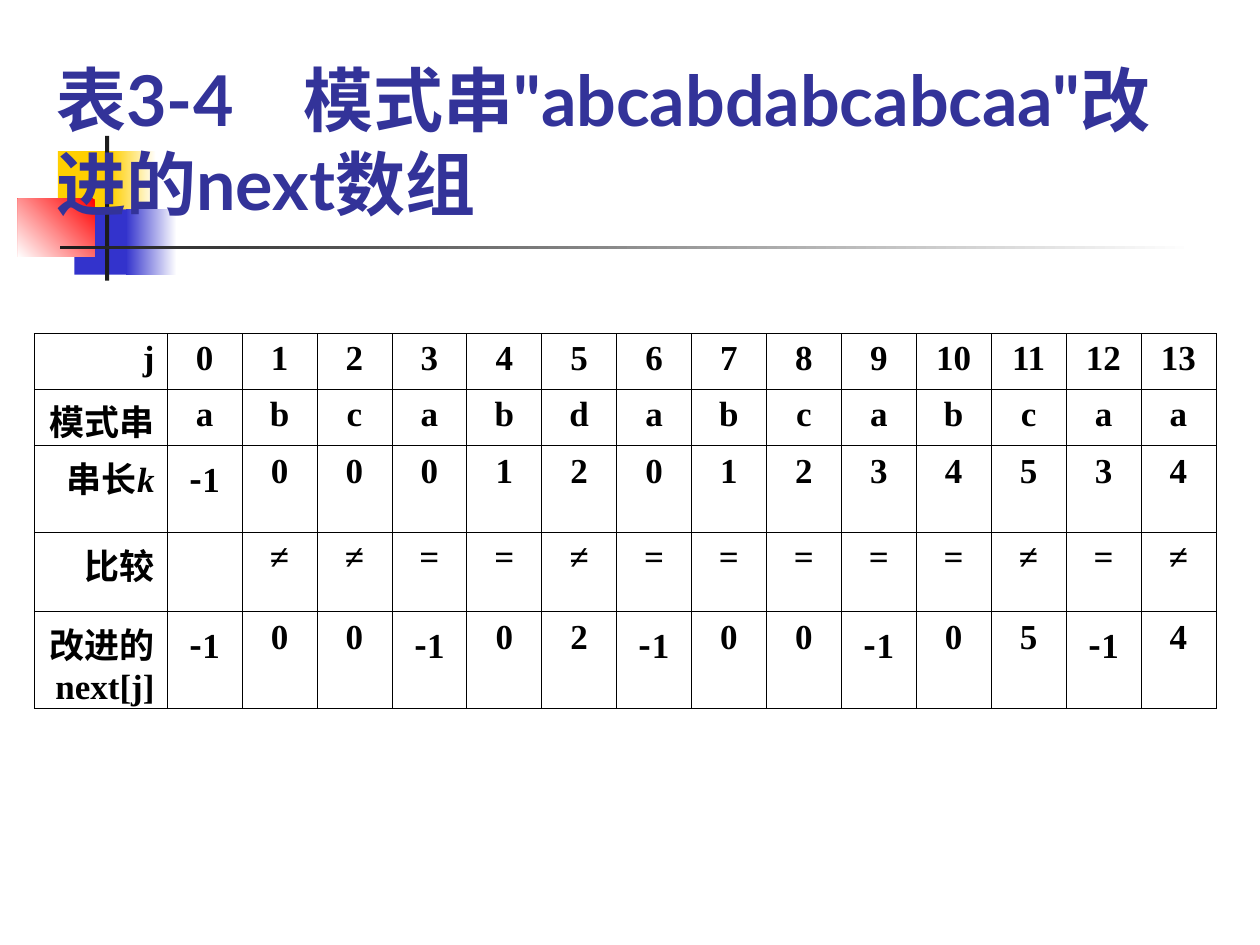
"""Build a slide with the improved next array of a pattern string."""
from lxml.etree import SubElement
from pptx import Presentation
from pptx.dml.color import RGBColor
from pptx.enum.shapes import MSO_SHAPE
from pptx.enum.text import MSO_ANCHOR, PP_ALIGN
from pptx.oxml import parse_xml
from pptx.oxml.ns import nsdecls, qn
from pptx.util import Cm, Pt

WHITE = RGBColor(0xFF, 0xFF, 0xFF)
BLACK = RGBColor(0, 0, 0)
YELLOW = RGBColor(0xFF, 0xCF, 0x01)
BLUE = RGBColor(0x33, 0x33, 0xCC)
RED = RGBColor(0xFF, 0, 0)
DARK = RGBColor(0x1C, 0x1C, 0x1C)
TITLE_BLUE = RGBColor(0x33, 0x33, 0x99)
SERIF, SANS, CJK = "Times New Roman", "Lato", "Noto Sans CJK SC"

TITLE = '表3-4　模式串"abcabdabcabcaa"改进的next数组'
ROWS = [
    ("j", "0 1 2 3 4 5 6 7 8 9 10 11 12 13".split()),
    ("模式串", list("abcabdabcabcaa")),
    ("串长k", "-1 0 0 0 1 2 0 1 2 3 4 5 3 4".split()),
    ("比较", ["", *"≠≠==≠=====≠=≠"]),
    ("改进的next[j]", "-1 0 0 -1 0 2 -1 0 0 -1 0 5 -1 4".split()),
]
ROW_HEIGHTS = [1.12, 1.14, 1.75, 1.6, 1.96]
LABEL_WIDTH, VALUE_WIDTH = 2.68, 1.51
DECORATION = [
    ((1.17, 3.05, 1.22, 1.32), [YELLOW], 0),
    ((2.24, 3.05, 0.91, 1.32), [WHITE, YELLOW], 180),
    ((1.5, 4.22, 1.17, 1.32), [BLUE], 0),
    ((2.54, 4.22, 1.02, 1.32), [WHITE, BLUE], 180),
    ((0.36, 4.01, 1.55, 1.17), [RED, WHITE], 225),
    ((2.12, 2.74, 0.08, 2.92), [DARK], 0),
    ((1.22, 4.95, 22.86, 0.08), [WHITE, DARK], 180),
]


def add_text(p, text, size=20, font=SERIF, east=CJK, color=BLACK, italic=False):
    r = p.add_run()
    r.text = text
    f = r.font
    f.size, f.name, f.bold, f.italic = Pt(size), font, True, italic
    f.color.rgb = color
    SubElement(r._r.get_or_add_rPr(), qn("a:ea")).set("typeface", east)


def add_block(s, box, colors, angle):
    sp = s.shapes.add_shape(MSO_SHAPE.RECTANGLE, *map(Cm, box))
    sp.shadow.inherit = False
    sp.line.fill.background()
    if len(colors) == 1:
        sp.fill.solid()
        sp.fill.fore_color.rgb = colors[0]
        return
    sp.fill.gradient()
    sp.fill.gradient_angle = angle
    for stop, color in zip(sp.fill.gradient_stops, colors):
        stop.color.rgb = color


def add_title(s):
    sp = s.shapes.add_textbox(Cm(0.89), Cm(0.71), Cm(23.95), Cm(3.94))
    tf = sp.text_frame
    tf.word_wrap = True
    tf.vertical_anchor = MSO_ANCHOR.BOTTOM
    add_text(tf.paragraphs[0], TITLE, size=40, font=SANS, east=SANS, color=TITLE_BLUE)


def style_cell(cell):
    cell.fill.background()
    for i, side in enumerate("LRTB"):
        border = parse_xml(
            f'<a:ln{side} {nsdecls("a")} w="{Pt(0.45)}"><a:solidFill>'
            f'<a:srgbClr val="{BLACK}"/></a:solidFill></a:ln{side}>'
        )
        cell._tc.get_or_add_tcPr().insert(i, border)


def fill_cell(cell, text, align):
    style_cell(cell)
    p = cell.text_frame.paragraphs[0]
    p.alignment = align
    if text.startswith("-"):
        add_text(p, "-", font=CJK)
        add_text(p, text[1:])
    elif text.endswith("k"):
        add_text(p, text[:-1])
        add_text(p, "k", italic=True)
    elif text:
        add_text(p, text)


def add_values(s):
    widths = [LABEL_WIDTH] + [VALUE_WIDTH] * len(ROWS[0][1])
    table = s.shapes.add_table(
        len(ROWS), len(widths), Cm(0.69), Cm(6.72), Cm(sum(widths)), Cm(sum(ROW_HEIGHTS))
    ).table
    for column, width in zip(table.columns, widths):
        column.width = Cm(width)
    for row, height, (label, values) in zip(table.rows, ROW_HEIGHTS, ROWS):
        row.height = Cm(height)
        for i, text in enumerate([label, *values]):
            fill_cell(row.cells[i], text, PP_ALIGN.CENTER if i else PP_ALIGN.RIGHT)


def main():
    prs = Presentation()
    prs.slide_width, prs.slide_height = Cm(25.4), Cm(19.05)
    s = prs.slides.add_slide(prs.slide_layouts[6])
    for box, colors, angle in DECORATION:
        add_block(s, box, colors, angle)
    add_title(s)
    add_values(s)
    prs.save("out.pptx")


if __name__ == "__main__":
    main()
